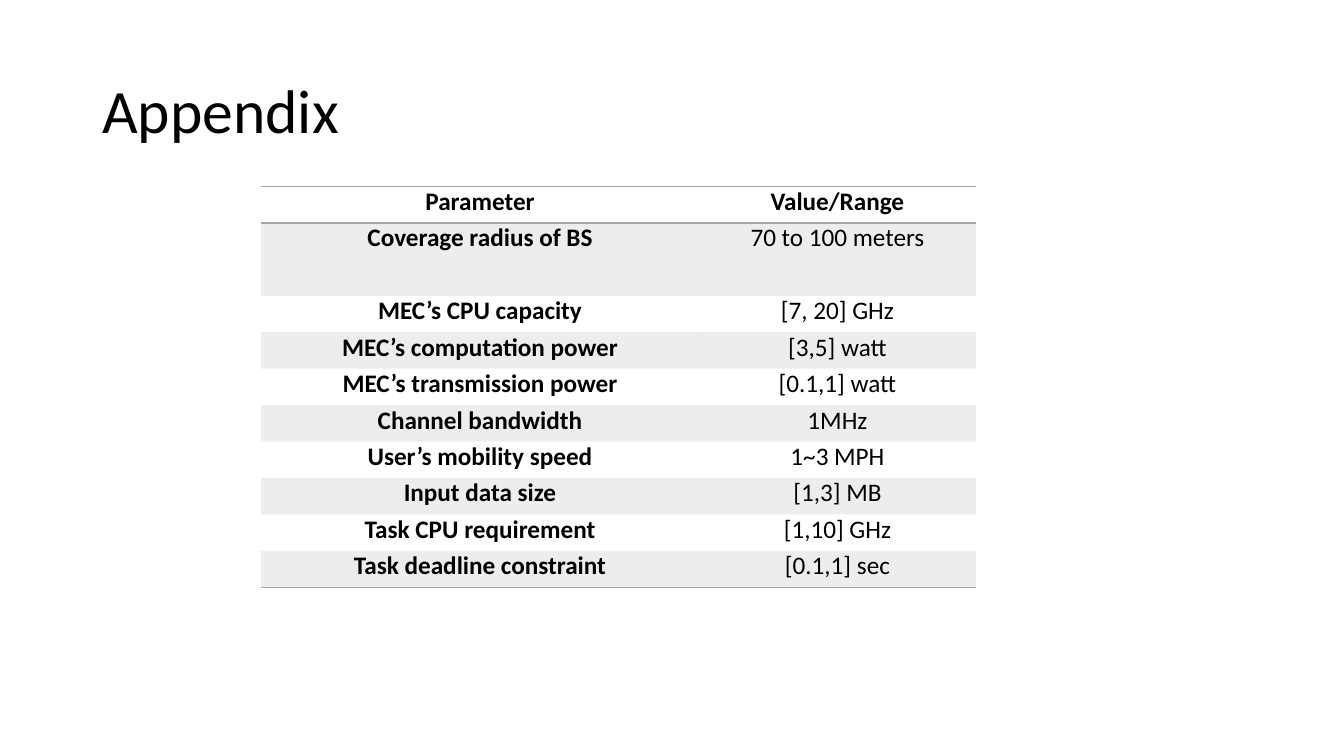
from pptx import Presentation
from pptx.dml.color import RGBColor as RGB
from pptx.enum.text import MSO_ANCHOR as Anchor, PP_ALIGN as Align
from pptx.oxml import parse_xml
from pptx.oxml.ns import nsdecls, qn
from pptx.util import Inches, Pt

BLACK = RGB(0, 0, 0)
GRAY = RGB(0xA5, 0xA5, 0xA5)
NO_GRID = "{2D5ABB26-0587-4C30-8999-92F81FD0307C}"

ROWS = [
    ("Parameter", "Value/Range"),
    ("Coverage radius of BS", "70 to 100 meters"),
    ("MEC’s CPU capacity", "[7, 20] GHz"),
    ("MEC’s computation power", "[3,5] watt"),
    ("MEC’s transmission power", "[0.1,1] watt"),
    ("Channel bandwidth", "1MHz"),
    ("User’s mobility speed", "1~3 MPH"),
    ("Input data size", "[1,3] MB"),
    ("Task CPU requirement", "[1,10] GHz"),
    ("Task deadline constraint", "[0.1,1] sec"),
]


def assign(item, values):
    for name, value in values.items():
        setattr(item, name, value)


class Page:
    """A slide on a grid of 160 columns by 90 rows."""
    font = "Calibri"

    def __init__(self, deck):
        self.slide = deck.slides.add_slide(deck.slide_layouts[6])
        self.col = deck.slide_width / 160
        self.row = deck.slide_height / 90

    def across(self, cols):
        return round(cols * self.col)

    def down(self, rows):
        return round(rows * self.row)

    def box(self, left, top, width, height):
        return (self.across(left), self.down(top),
                self.across(width), self.down(height))

    def label(self, para, text, size, bold=False):
        para.text = text
        assign(para.font, {"name": self.font, "size": Pt(size), "bold": bold})
        para.font.color.rgb = BLACK

    def title(self, text, *place):
        frame = self.slide.shapes.add_textbox(*self.box(*place)).text_frame
        assign(frame, {"word_wrap": True, "vertical_anchor": Anchor.MIDDLE})
        para = frame.paragraphs[0]
        para.line_spacing = 0.9
        self.label(para, text, 44)

    def rule(self, cell, side):
        """Draw one edge of a cell: T for top, B for bottom."""
        cell._tc.get_or_add_tcPr().append(parse_xml(
            f'<a:ln{side} {nsdecls("a")} w="{Pt(1)}"><a:solidFill>'
            f'<a:srgbClr val="{GRAY}"/></a:solidFill></a:ln{side}>'))

    def shade(self, cell):
        """Fill a cell with gray at 20% opacity."""
        cell.fill.solid()
        cell.fill.fore_color.rgb = GRAY
        fill = cell._tc.tcPr.find(qn("a:solidFill"))
        fill[0].append(parse_xml(f'<a:alpha {nsdecls("a")} val="20000"/>'))

    def table(self, data, left, top, widths, heights):
        place = self.box(left, top, sum(widths), sum(heights))
        table = self.slide.shapes.add_table(
            len(data), len(widths), *place).table
        assign(table, {"first_row": False, "horz_banding": False})
        table._tbl.tblPr.find(qn("a:tableStyleId")).text = NO_GRID
        for col, width in zip(table.columns, widths):
            col.width = self.across(width)
        for row, height in zip(table.rows, heights):
            row.height = self.down(height)
        last = len(data) - 1
        for r, line in enumerate(data):
            for c, text in enumerate(line):
                cell = table.cell(r, c)
                assign(cell, {"margin_left": Inches(0.07),
                              "margin_right": Inches(0.07),
                              "margin_top": 0, "margin_bottom": 0})
                sides = "TB" if r == 0 else "B" if r == last else ""
                for side in sides:
                    self.rule(cell, side)
                if r % 2:
                    self.shade(cell)
                else:
                    cell.fill.background()
                para = cell.text_frame.paragraphs[0]
                para.alignment = Align.CENTER
                self.label(para, text, 18, bold=r == 0 or c == 0)


def main():
    deck = Presentation()
    assign(deck, {"slide_width": Inches(13.33), "slide_height": Inches(7.5)})
    page = Page(deck)
    page.title("Appendix", 11, 4.8, 138, 17.4)
    high = 4.34
    heights = [high * (2 if r == 1 else 1) for r in range(len(ROWS))]
    page.table(ROWS, 31.1, 22.2, [52.1, 33], heights)
    deck.save("out.pptx")


if __name__ == "__main__":
    main()
